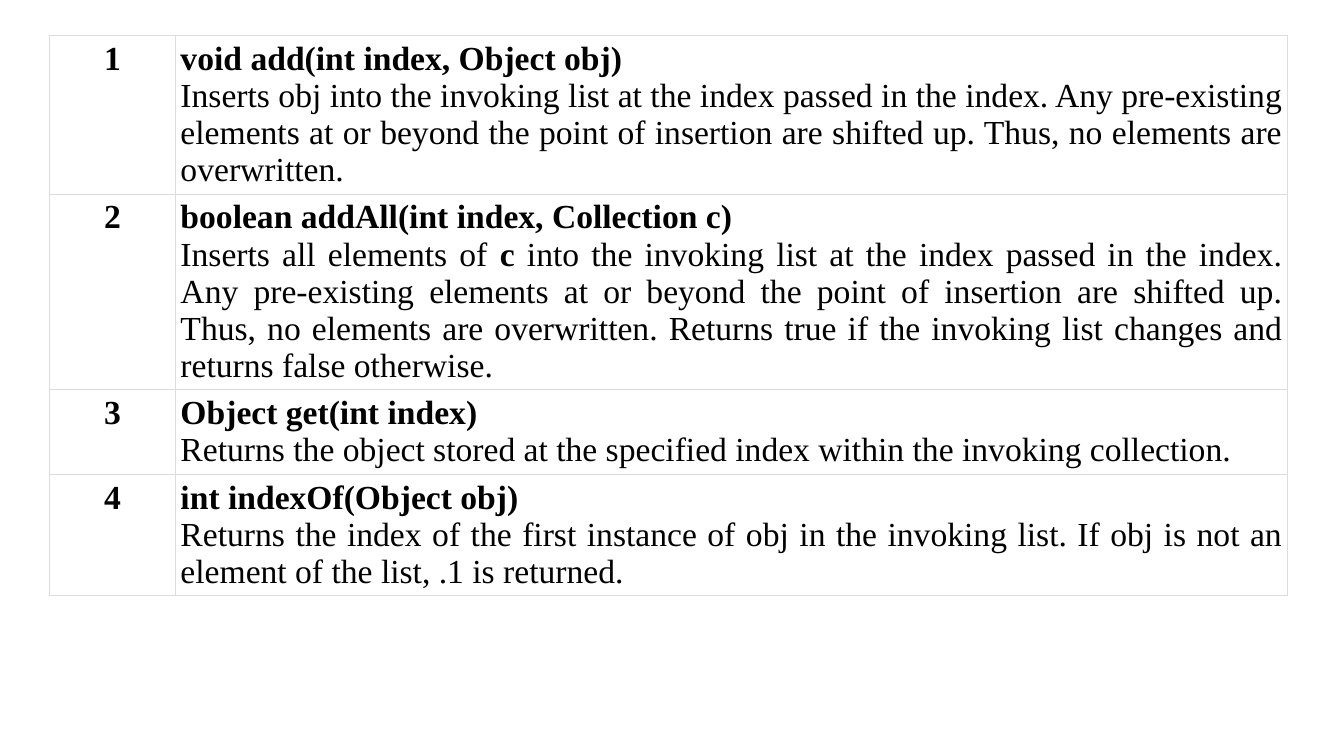
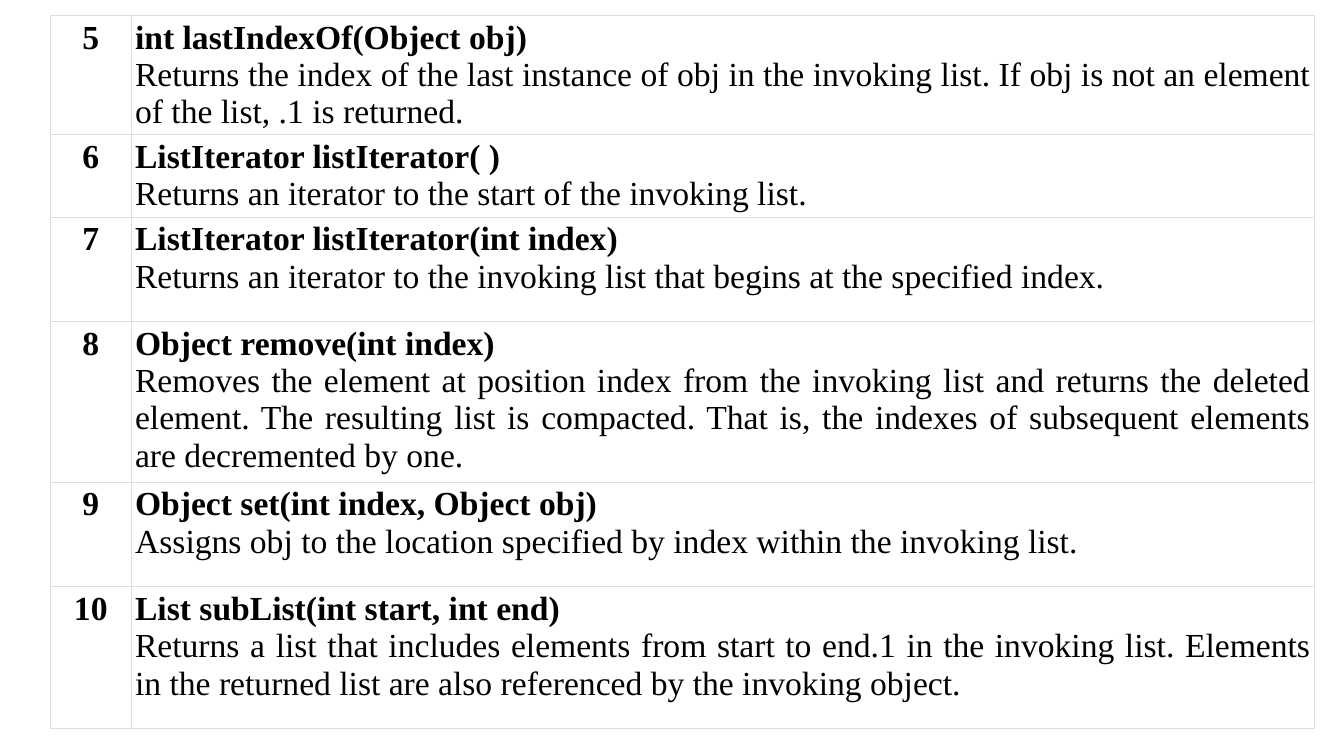
from dataclasses import dataclass

from lxml import etree
from pptx import Presentation
from pptx import util as u
from pptx.dml.color import RGBColor
from pptx.enum import text
from pptx.oxml import ns

PX = 9144  # EMU per px, 100 px to the inch
BOLD_MARK = "**"


@dataclass(frozen=True)
class Theme:
    font: str = "Times New Roman"
    size: int = 24
    ink: str = "000000"
    rule: str = "DDDDDD"
    rule_width: float = 0.75


@dataclass(frozen=True)
class Method:
    signature: str
    detail: str
    height: int


@dataclass(frozen=True)
class MethodTable:
    left: int
    top: int
    columns: tuple[int, int]
    inset: int
    first_number: int
    methods: tuple[Method, ...]


THEME = Theme()

TABLES = (
    MethodTable(49, 35, (125, 1103), 5, 1, (
        Method("void add(int index, Object obj)",
               "Inserts obj into the invoking list at the index passed in the index. "
               "Any pre-existing elements at or beyond the point of insertion are "
               "shifted up. Thus, no elements are overwritten.", 156),
        Method("boolean addAll(int index, Collection c)",
               "Inserts all elements of **c** into the invoking list at the index "
               "passed in the index. Any pre-existing elements at or beyond the point "
               "of insertion are shifted up. Thus, no elements are overwritten. "
               "Returns true if the invoking list changes and returns false "
               "otherwise.", 193),
        Method("Object get(int index)",
               "Returns the object stored at the specified index within the invoking "
               "collection.", 82),
        Method("int indexOf(Object obj)",
               "Returns the index of the first instance of obj in the invoking list. "
               "If obj is not an element of the list, .1 is returned.", 120),
    )),
    MethodTable(50, 15, (80, 1174), 4, 5, (
        Method("int lastIndexOf(Object obj)",
               "Returns the index of the last instance of obj in the invoking list. "
               "If obj is not an element of the list, .1 is returned.", 118),
        Method("ListIterator listIterator( )",
               "Returns an iterator to the start of the invoking list.", 81),
        Method("ListIterator listIterator(int index)",
               "Returns an iterator to the invoking list that begins at the specified "
               "index.", 104),
        Method("Object remove(int index)",
               "Removes the element at position index from the invoking list and "
               "returns the deleted element. The resulting list is compacted. That is, "
               "the indexes of subsequent elements are decremented by one.", 159),
        Method("Object set(int index, Object obj)",
               "Assigns obj to the location specified by index within the invoking "
               "list.", 104),
        Method("List subList(int start, int end)",
               "Returns a list that includes elements from start to end.1 in the "
               "invoking list. Elements in the returned list are also referenced by "
               "the invoking object.", 141),
    )),
)


def px(length: int) -> u.Emu:
    return u.Emu(length * PX)


def format_run(r, bold: bool) -> None:
    r.font.name = THEME.font
    r.font.size = u.Pt(THEME.size)
    r.font.bold = bold
    r.font.color.rgb = RGBColor.from_string(THEME.ink)


def write_bold(p, content: str, align: text.PP_ALIGN) -> None:
    p.text = content
    p.alignment = align
    format_run(p.runs[0], True)


def write_detail(p, detail: str) -> None:
    """Write justified text; parts between bold marks become bold."""
    p.alignment = text.PP_ALIGN.JUSTIFY
    for i, part in enumerate(detail.split(BOLD_MARK)):
        r = p.add_run()
        r.text = part
        format_run(r, i % 2 == 1)


def style_cell(cell, inset: int) -> None:
    cell.margin_left = cell.margin_right = px(inset)
    cell.margin_top = cell.margin_bottom = px(inset)
    cell.fill.background()
    tc_pr = cell._tc.get_or_add_tcPr()
    for i, side in enumerate("LRTB"):
        ln = etree.Element(ns.qn(f"a:ln{side}"), w=str(u.Pt(THEME.rule_width)))
        fill = etree.SubElement(ln, ns.qn("a:solidFill"))
        etree.SubElement(fill, ns.qn("a:srgbClr"), val=THEME.rule)
        tc_pr.insert(i, ln)  # borders come before the fill


def draw_table(s, spec_table: MethodTable) -> None:
    methods = spec_table.methods
    tbl = s.shapes.add_table(
        len(methods), len(spec_table.columns),
        px(spec_table.left), px(spec_table.top),
        px(sum(spec_table.columns)), px(sum(m.height for m in methods))).table
    tbl.first_row = tbl.horz_banding = False
    for column, width in zip(tbl.columns, spec_table.columns):
        column.width = px(width)
    for i, method in enumerate(methods):
        tbl.rows[i].height = px(method.height)
        number, description = tbl.cell(i, 0), tbl.cell(i, 1)
        for cell in (number, description):
            style_cell(cell, spec_table.inset)
        write_bold(number.text_frame.paragraphs[0],
                   str(spec_table.first_number + i), text.PP_ALIGN.CENTER)
        tf = description.text_frame
        write_bold(tf.paragraphs[0], method.signature, text.PP_ALIGN.JUSTIFY)
        write_detail(tf.add_paragraph(), method.detail)


def main() -> None:
    prs = Presentation()
    prs.slide_width, prs.slide_height = px(1333), px(750)
    for table in TABLES:
        draw_table(prs.slides.add_slide(prs.slide_layouts[6]), table)
    prs.save("out.pptx")


if __name__ == "__main__":
    main()
